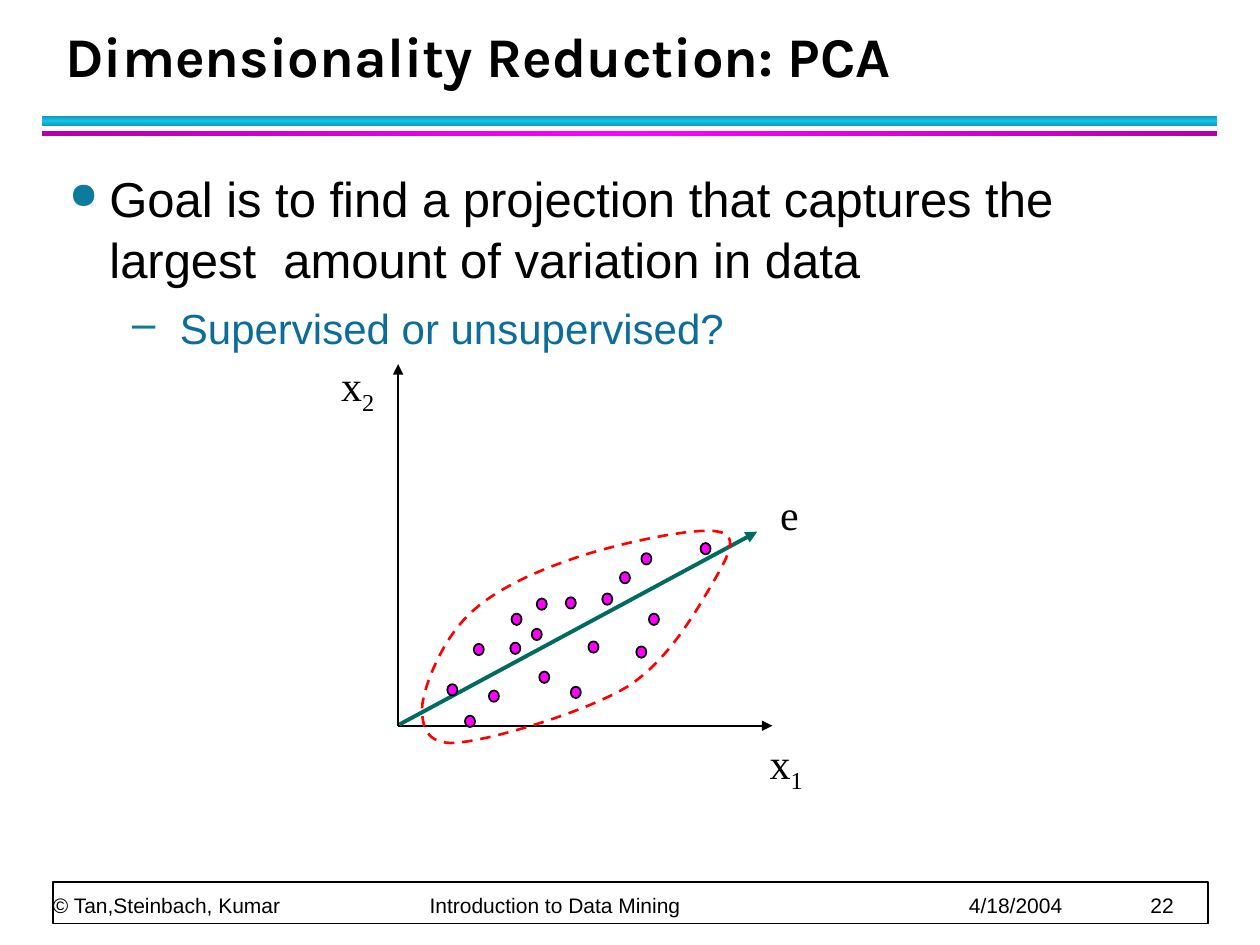
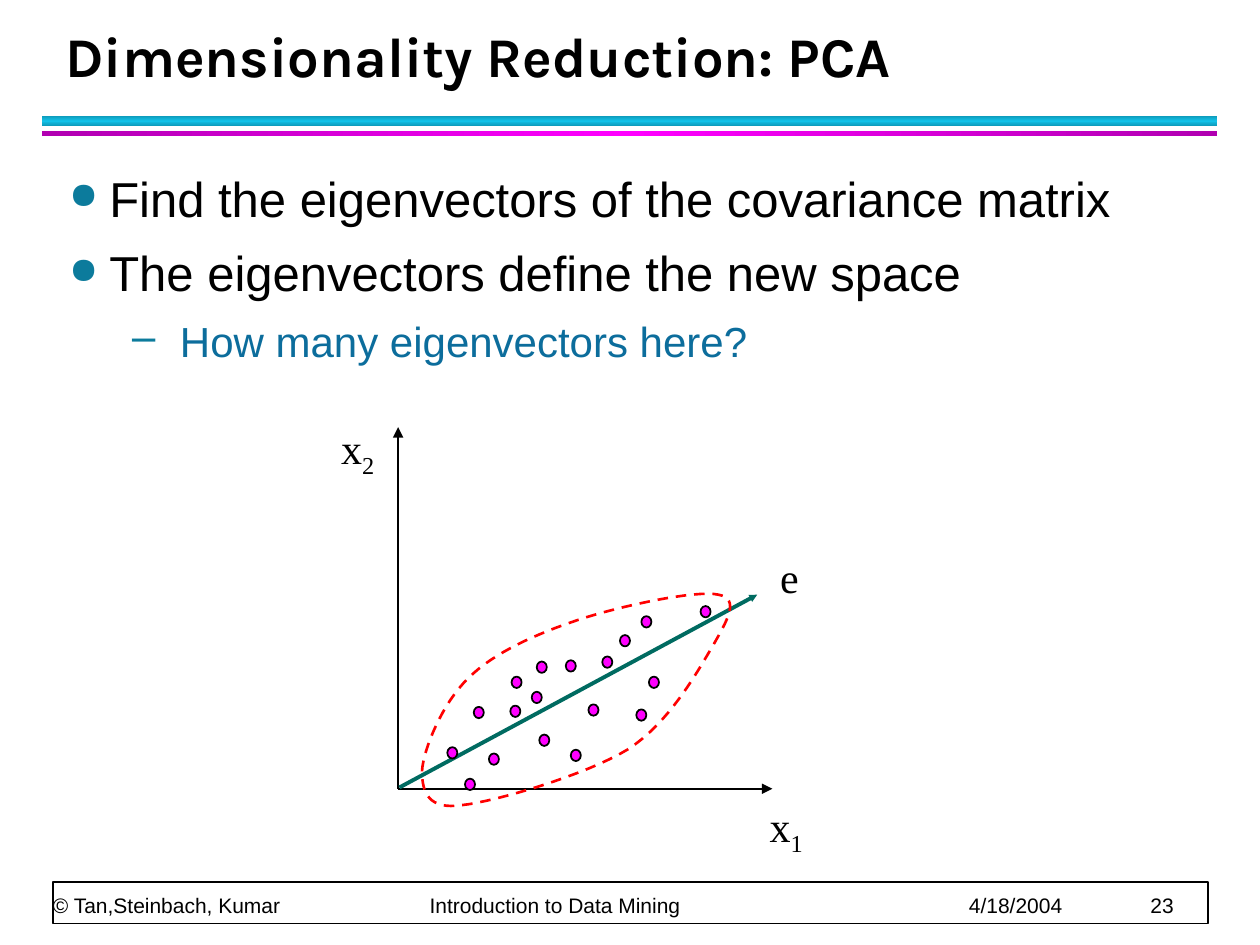
from lxml import etree
from pptx import Presentation
from pptx.dml.color import RGBColor
from pptx.enum.dml import MSO_LINE
from pptx.enum.shapes import MSO_CONNECTOR, MSO_SHAPE
from pptx.enum.text import MSO_ANCHOR, PP_ALIGN
from pptx.oxml import parse_xml
from pptx.oxml.ns import nsdecls, qn
from pptx.util import Pt

PX = 9144  # 100 px to the inch

BLACK, WHITE = "000000", "FFFFFF"
CYAN_EDGE, CYAN_MID = "0E9AB9", "12C2E9"
MAGENTA_EDGE, MAGENTA = "B100B1", "FF00FF"
BULLET, QUESTION = "0C7B9C", "0C6D9C"
EIGENVECTOR, CLUSTER = "006B61", "FF0000"

# Places below are px from the top left corner of the plot.
ORIGIN, X1_END, X2_END = (55, 296), (352, 296), (55, 9)
EIGEN_START, EIGEN_END = (56, 295), (340, 142)
DOT_SIZE = (8, 9)
DOTS = [
    (115, 231), (145, 207), (94, 263), (161, 219), (144, 230), (206, 229),
    (192, 265), (167, 253), (188, 194), (254, 207), (295, 151), (127, 268),
    (217, 191), (248, 159), (165, 195), (231, 174), (244, 233), (108, 288),
]
CLUSTER_START = (74, 282)
CLUSTER_CURVES = [
    ((75, 265), (90, 228), (111, 208)),
    ((131, 188), (165, 173), (198, 162)),
    ((231, 151), (292, 138), (309, 142)),
    ((327, 145), (316, 163), (304, 184)),
    ((292, 204), (270, 244), (237, 265)),
    ((204, 285), (133, 306), (106, 309)),
    ((79, 313), (74, 299), (74, 282)),
]
CURVE_STEPS = 16
LABELS = [
    ("x", "2", (0, 0, 46, 56)),
    ("x", "1", (340, 300, 46, 56)),
    ("e", "", (348, 103, 35, 50)),
]

FOOTER_TABS = (299, 727, 871)


def emu(*lengths):
    return [round(length * PX) for length in lengths]


def color(hex_value):
    return RGBColor.from_string(hex_value)


def set_font(paragraph, name, size, hex_value, bold=False):
    font = paragraph.font
    font.name, font.size, font.bold = name, Pt(size), bold
    font.color.rgb = color(hex_value)


def set_line(line, hex_value, width):
    line.color.rgb = color(hex_value)
    line.width = Pt(width)


def add_text_frame(slide, box, anchor, insets=(10, 5, 10, 5), wrap=True):
    frame = slide.shapes.add_textbox(*emu(*box)).text_frame
    frame.word_wrap = wrap
    frame.vertical_anchor = anchor
    (frame.margin_left, frame.margin_top,
     frame.margin_right, frame.margin_bottom) = emu(*insets)
    return frame


def add_preset(slide, preset, box, fill, line_color):
    shape = slide.shapes.add_shape(preset, *emu(*box))
    shape.shadow.inherit = False
    shape.fill.solid()
    shape.fill.fore_color.rgb = color(fill)
    set_line(shape.line, line_color, 1)
    return shape


def add_band(slide, box, edge, middle, angle):
    """Add a borderless bar that is lighter along its middle."""
    band = slide.shapes.add_shape(MSO_SHAPE.RECTANGLE, *emu(*box))
    band.shadow.inherit = False
    band.line.fill.background()
    stops = "".join(
        f'<a:gs pos="{position}"><a:srgbClr val="{value}"/></a:gs>'
        for position, value in ((0, edge), (50000, middle), (100000, edge)))
    gradient = parse_xml(
        f'<a:gradFill {nsdecls("a")} rotWithShape="1"><a:gsLst>{stops}</a:gsLst>'
        f'<a:lin ang="{angle * 60000}" scaled="0"/></a:gradFill>')
    band._element.spPr.find(qn("a:prstGeom")).addnext(gradient)


def add_title(slide, box, title):
    frame = add_text_frame(slide, box, MSO_ANCHOR.BOTTOM)
    heading = frame.paragraphs[0]
    heading.text = title
    heading.line_spacing = Pt(36)
    set_font(heading, "Karla", 32, BLACK, bold=True)


def add_footer(slide, box, number):
    left, top, width, height = box
    add_preset(slide, MSO_SHAPE.RECTANGLE, box, WHITE, BLACK)
    frame = add_text_frame(slide, (left, top - 28, width - 2, height + 23),
                           MSO_ANCHOR.BOTTOM, (0, 0, 0, 0))
    credit = frame.paragraphs[0]
    credit.text = "\t".join(("© Tan,Steinbach, Kumar", "Introduction to Data Mining",
                             "4/18/2004", str(number)))
    credit.line_spacing = Pt(20)
    tabs = etree.SubElement(credit._p.get_or_add_pPr(), qn("a:tabLst"))
    for position in FOOTER_TABS:
        etree.SubElement(tabs, qn("a:tab"), pos=str(position * PX), algn="l")
    set_font(credit, "Arial", 12, BLACK)


def add_bullet(paragraph, symbol, margin, hanging, percent):
    properties = paragraph._p.get_or_add_pPr()
    properties.set("marL", str(margin * PX))
    properties.set("indent", str(-hanging * PX))
    bullet_color = etree.SubElement(properties, qn("a:buClr"))
    etree.SubElement(bullet_color, qn("a:srgbClr"), val=BULLET)
    etree.SubElement(properties, qn("a:buSzPct"), val=str(percent * 1000))
    etree.SubElement(properties, qn("a:buChar"), char=symbol)


def add_body(slide, box, points, question):
    frame = add_text_frame(slide, box, MSO_ANCHOR.TOP, (10, 7, 10, 5))
    for index, text in enumerate(points + [question]):
        paragraph = frame.add_paragraph() if index else frame.paragraphs[0]
        paragraph.text = text
        paragraph.line_spacing = 1.04
        paragraph.space_after = Pt(4)
        if text == question:
            paragraph.level = 1
            paragraph.space_before = Pt(3)
            add_bullet(paragraph, "–", 88, 38, 100)
            set_font(paragraph, "Arial", 24, QUESTION)
        else:
            paragraph.space_before = Pt(3.5 if index else 0)
            add_bullet(paragraph, "●", 32, 32, 75)
            set_font(paragraph, "Arial", 28, BLACK)


def add_arrow(slide, start, end, hex_value, width, head="med"):
    arrow = slide.shapes.add_connector(MSO_CONNECTOR.STRAIGHT, *emu(*start, *end))
    set_line(arrow.line, hex_value, width)
    etree.SubElement(arrow.line._get_or_add_ln(), qn("a:tailEnd"),
                     type="triangle", w=head, len=head)
    etree.SubElement(arrow._element.spPr, qn("a:effectLst"))


def cluster_points():
    """Follow the cubic curves of the cluster's outline in short steps."""
    start, points = CLUSTER_START, []
    for first, second, end in CLUSTER_CURVES:
        for step in range(1, CURVE_STEPS + 1):
            t = step / CURVE_STEPS
            weights = ((1 - t) ** 3, 3 * t * (1 - t) ** 2, 3 * t * t * (1 - t), t ** 3)
            points.append(tuple(
                sum(weight * place for weight, place in zip(weights, axis))
                for axis in zip(start, first, second, end)))
        start = end
    return points


def add_cluster_outline(slide, at):
    builder = slide.shapes.build_freeform(*emu(*at(CLUSTER_START)))
    builder.add_line_segments([emu(*at(point)) for point in cluster_points()], close=True)
    outline = builder.convert_to_shape()
    outline.shadow.inherit = False
    outline.fill.background()
    set_line(outline.line, CLUSTER, 1.5)
    outline.line.dash_style = MSO_LINE.DASH


def add_label(slide, box, symbol, subscript):
    frame = add_text_frame(slide, box, MSO_ANCHOR.MIDDLE, wrap=False)
    label = frame.paragraphs[0]
    label.alignment = PP_ALIGN.CENTER
    label.add_run().text = symbol
    if subscript:
        index = label.add_run()
        index.text = subscript
        index._r.get_or_add_rPr().set("baseline", "-25000")
    set_font(label, "Times New Roman", 24, BLACK)


def add_scatter(slide, left, top, eigen_head):
    def at(point):
        return left + point[0], top + point[1]

    for axis_end in (X2_END, X1_END):
        add_arrow(slide, at(ORIGIN), at(axis_end), BLACK, 1)
    add_arrow(slide, at(EIGEN_START), at(EIGEN_END), EIGENVECTOR, 2.25, eigen_head)
    for dot in DOTS:
        add_preset(slide, MSO_SHAPE.OVAL, (*at(dot), *DOT_SIZE), MAGENTA, BLACK)
    add_cluster_outline(slide, at)
    for symbol, subscript, (x, y, width, height) in LABELS:
        add_label(slide, (*at((x, y)), width, height), symbol, subscript)


def add_pca_slide(deck, number, points, question, plot_top, eigen_head):
    slide = deck.slides.add_slide(deck.slide_layouts[6])
    add_band(slide, (33, 92, 933, 8), CYAN_EDGE, CYAN_MID, 90)
    add_band(slide, (33, 104, 933, 4), MAGENTA_EDGE, MAGENTA, 0)
    add_footer(slide, (42, 700, 917, 33), number)
    add_title(slide, (42, 17, 906, 58), "Dimensionality Reduction: PCA")
    add_body(slide, (45, 125, 910, 567), points, question)
    add_scatter(slide, 261, plot_top, eigen_head)


def main():
    deck = Presentation()
    deck.slide_width, deck.slide_height = emu(1000, 750)
    add_pca_slide(
        deck, 22,
        ["Goal is to find a projection that captures the largest  amount of variation in data"],
        "Supervised or unsupervised?", 280, "med")
    add_pca_slide(
        deck, 23,
        ["Find the eigenvectors of the covariance matrix",
         "The eigenvectors define the new space"],
        "How many eigenvectors here?", 330, "sm")
    deck.save("out.pptx")


if __name__ == "__main__":
    main()
